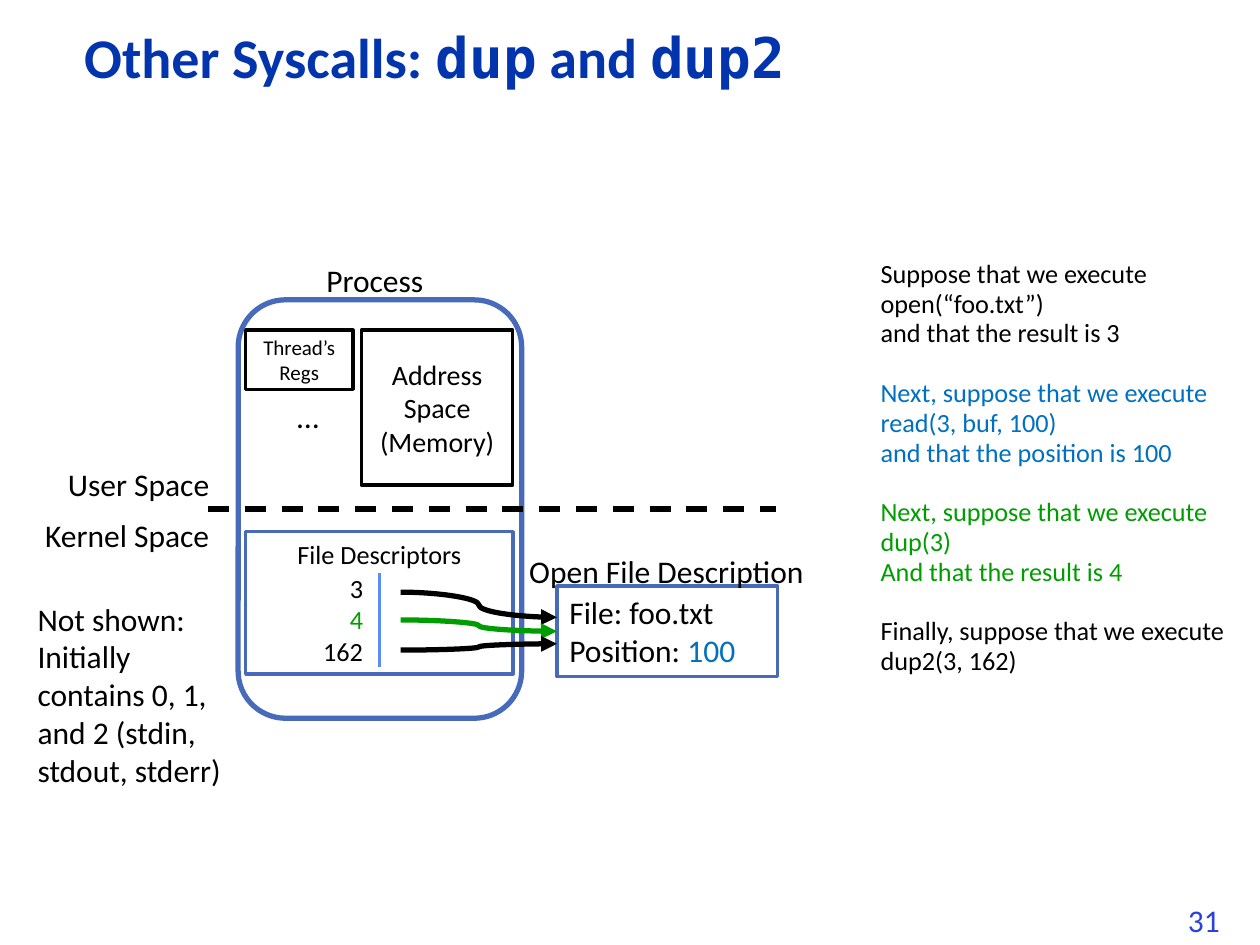
from lxml.etree import SubElement
from pptx import Presentation
from pptx.dml.color import RGBColor
from pptx.enum.dml import MSO_LINE
from pptx.enum.shapes import MSO_CONNECTOR, MSO_SHAPE
from pptx.enum.text import MSO_ANCHOR, PP_ALIGN
from pptx.oxml.ns import qn
from pptx.util import Inches, Pt

BLACK = RGBColor(0x00, 0x00, 0x00)
WHITE = RGBColor(0xFF, 0xFF, 0xFF)
TITLE_BLUE = RGBColor(0x02, 0x34, 0xAD)
NUMBER_BLUE = RGBColor(0x2A, 0x40, 0xE2)
FRAME_BLUE = RGBColor(0x48, 0x6A, 0xBB)
DIVIDER_BLUE = RGBColor(0x5B, 0x8A, 0xFB)
READ_BLUE = RGBColor(0x00, 0x70, 0xC0)
DUP_GREEN = RGBColor(0x00, 0x9D, 0x00)

LEFT, CENTER, RIGHT = PP_ALIGN.LEFT, PP_ALIGN.CENTER, PP_ALIGN.RIGHT
TOP, MIDDLE = MSO_ANCHOR.TOP, MSO_ANCHOR.MIDDLE
CODE_FONT = "DejaVu Sans Mono"


def add_span(para, text, size=18, color=BLACK, font="Calibri", bold=False):
    span = para.add_run()
    span.text = text
    span.font.size = Pt(size)
    span.font.name = font
    span.font.bold = bold
    span.font.color.rgb = color


def fill_text(box, lines, align=LEFT, anchor=TOP, wrap=True, spacing=None, **style):
    """Fill a box; a line is a text or a list of (text, own style) spans."""
    frame = box.text_frame
    frame.word_wrap = wrap
    frame.vertical_anchor = anchor
    for index, line in enumerate(lines):
        para = frame.add_paragraph() if index else frame.paragraphs[0]
        para.alignment = align
        para.line_spacing = spacing
        for text, own in [(line, {})] if isinstance(line, str) else line:
            add_span(para, text, **{**style, **own})
    return frame


class SlideBuilder:
    """Draws on one slide; places are columns and rows of a 100 by 75 grid."""

    columns, rows = 100, 75

    def __init__(self):
        self.deck = Presentation()
        self.deck.slide_width = Inches(10)
        self.deck.slide_height = Inches(7.5)
        self.page = self.deck.slides.add_slide(self.deck.slide_layouts[6])

    def place(self, column, row):
        return (round(self.deck.slide_width * column / self.columns),
                round(self.deck.slide_height * row / self.rows))

    def label(self, area, *lines, **style):
        box = self.page.shapes.add_textbox(*self.place(*area[:2]), *self.place(*area[2:]))
        return fill_text(box, lines, **style)

    def block(self, area, *lines, kind=MSO_SHAPE.RECTANGLE, fill=WHITE,
              edge=BLACK, weight=2, **style):
        box = self.page.shapes.add_shape(kind, *self.place(*area[:2]), *self.place(*area[2:]))
        box.shadow.inherit = False
        if fill is None:
            box.fill.background()
        else:
            box.fill.solid()
            box.fill.fore_color.rgb = fill
        box.line.color.rgb = edge
        box.line.width = Pt(weight)
        fill_text(box, lines, **style)

    def line(self, start, end, color=BLACK, weight=3, kind=MSO_CONNECTOR.STRAIGHT,
             dash=None, arrow=False):
        connector = self.page.shapes.add_connector(kind, *self.place(*start), *self.place(*end))
        connector.line.color.rgb = color
        connector.line.width = Pt(weight)
        if dash:
            connector.line.dash_style = dash
        properties = connector._element.spPr
        if arrow:
            SubElement(properties.find(qn("a:ln")), qn("a:tailEnd"), type="triangle")
        SubElement(properties, qn("a:effectLst"))

    def steps(self, area, groups, size=15, line_gap=4.4, group_gap=21.5):
        """Add groups of coloured lines, set apart by paragraph spacing."""
        lines = [[(text, {"color": color})] for color, texts in groups for text in texts]
        frame = self.label(area, *lines, size=size, spacing=0.7)
        paras = iter(frame.paragraphs)
        for number, (_, texts) in enumerate(groups):
            for index in range(len(texts)):
                opens_group = number and not index
                next(paras).space_before = Pt(group_gap if opens_group else line_gap)


def main():
    slide = SlideBuilder()
    slide.label((93.3, 71, 5.1, 4), "31", color=NUMBER_BLUE, wrap=False)
    code = {"font": CODE_FONT}
    slide.label((5.7, 1.9, 78.3, 5.8),
                [("Other Syscalls: ", {}), ("dup", code), (" and ", {}), ("dup2", code)],
                size=32, color=TITLE_BLUE, bold=True, anchor=MIDDLE, spacing=0.9)
    slide.steps((68.9, 20.6, 31.1, 39.4), [
        (BLACK, ["Suppose that we execute", "open(“foo.txt”)",
                 "and that the result is 3"]),
        (READ_BLUE, ["Next, suppose that we execute", "read(3, buf, 100)",
                     "and that the position is 100"]),
        (DUP_GREEN, ["Next, suppose that we execute", "dup(3)",
                     "And that the result is 4"]),
        (BLACK, ["Finally, suppose that we execute", "dup2(3, 162)"]),
    ])

    # Process, split into user space and kernel space
    slide.block((18.9, 23.8, 22.5, 33.2), kind=MSO_SHAPE.ROUNDED_RECTANGLE,
                fill=None, edge=FRAME_BLUE, weight=3)
    slide.line((16.5, 40.4), (61.6, 40.4), dash=MSO_LINE.DASH)
    slide.label((4.1, 36.4, 13.5, 4), "User Space", align=RIGHT, wrap=False)
    slide.label((2.2, 40.5, 15.4, 4), "Kernel Space", align=RIGHT, wrap=False)
    slide.label((24.8, 20.2, 9.9, 4), "Process", align=CENTER, wrap=False)
    slide.block((28.7, 26.2, 12, 12.3), "Address Space (Memory)",
                size=16, align=CENTER, anchor=MIDDLE)
    slide.block((19.5, 26.2, 8.5, 4.7), "Thread’s Regs",
                size=12, align=CENTER, anchor=MIDDLE)
    slide.label((22.6, 31, 3.8, 4), "…", wrap=False)

    # File descriptor table
    slide.block((19.5, 42.2, 21.2, 11.3), "File Descriptors",
                edge=FRAME_BLUE, size=15, align=CENTER)
    slide.line((30.1, 45.5), (30.1, 52.9), color=DIVIDER_BLUE, weight=1.5)
    slide.label((24.6, 44.9, 5.2, 8.6), "3", [("4", {"color": DUP_GREEN})], "162",
                size=15, align=RIGHT, wrap=False)
    slide.label((2, 47.1, 16.6, 16.2),
                "Not shown: Initially contains 0, 1, and 2 (stdin, stdout, stderr)")

    # Open file description shared by the descriptors
    slide.block((44.2, 46.5, 17.5, 7.2), "File: foo.txt",
                [("Position: ", {}), ("100", {"color": READ_BLUE})],
                edge=FRAME_BLUE, anchor=MIDDLE)
    slide.label((40.7, 43.3, 24.4, 4), "Open File Description", align=CENTER, wrap=False)
    for start_row, end_row, color in [(47, 49, BLACK), (49.2, 50.1, DUP_GREEN),
                                      (51.6, 51.1, BLACK)]:
        slide.line((31.8, start_row), (44.2, end_row), color=color,
                   kind=MSO_CONNECTOR.CURVE, arrow=True)
    slide.deck.save("out.pptx")


if __name__ == "__main__":
    main()
